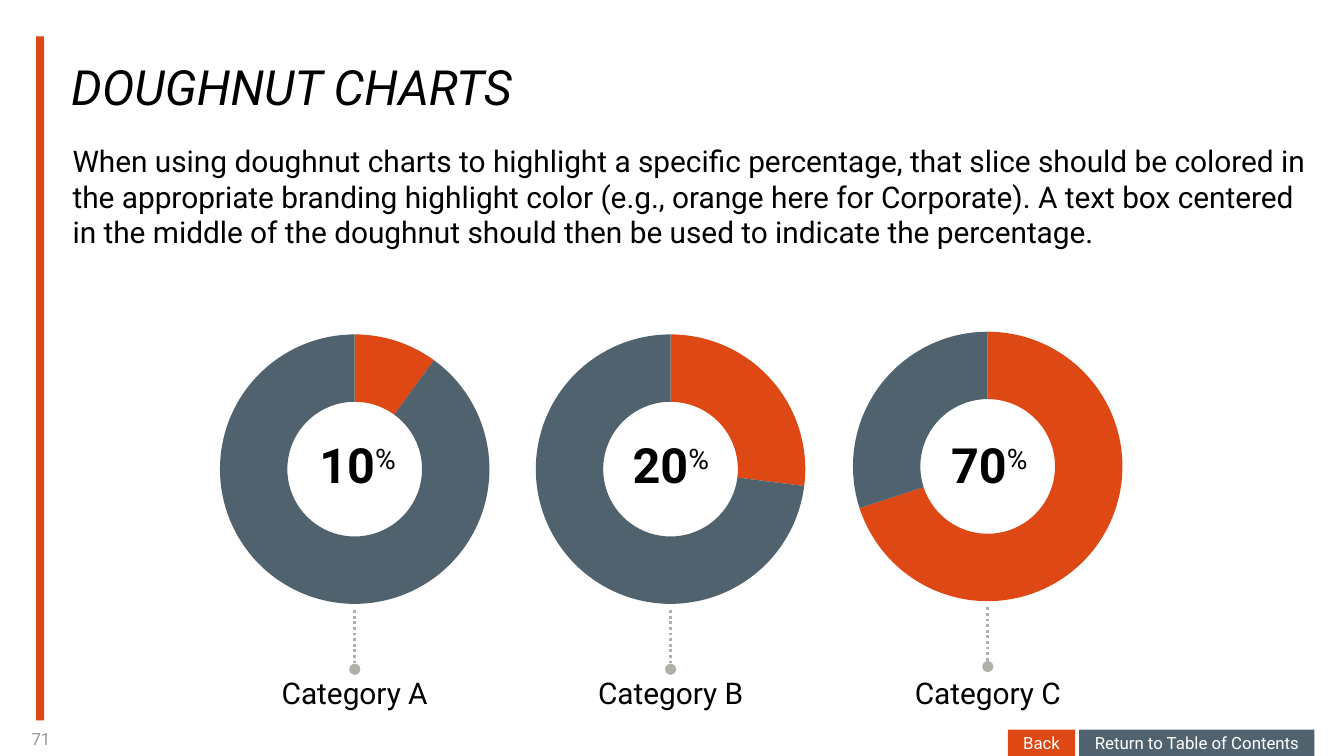
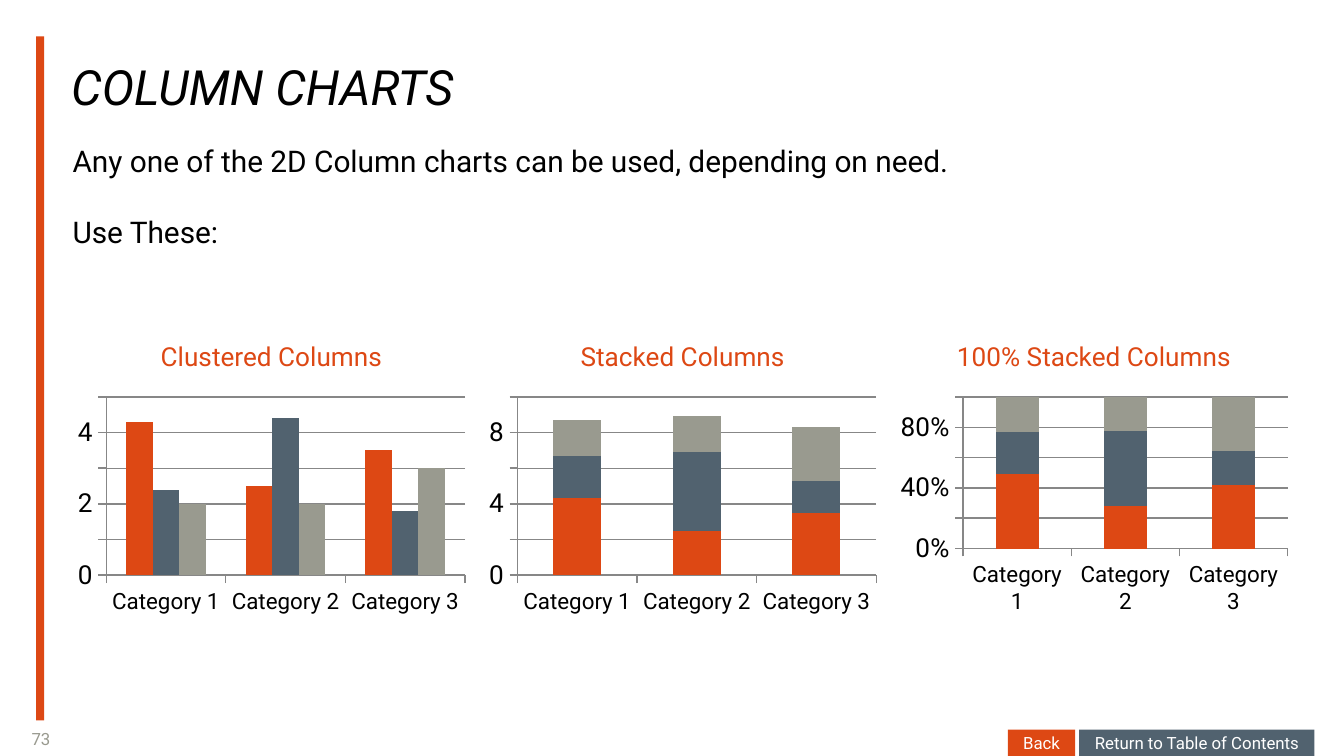
from lxml.etree import SubElement
from pptx import Presentation
from pptx.chart.data import CategoryChartData
from pptx.dml.color import RGBColor
from pptx.enum.chart import XL_CHART_TYPE as ChartType, XL_TICK_MARK as TickMark
from pptx.enum.dml import MSO_LINE
from pptx.enum.shapes import MSO_CONNECTOR, MSO_SHAPE
from pptx.enum.text import MSO_ANCHOR as Anchor, MSO_AUTO_SIZE as AutoSize, PP_ALIGN as Align
from pptx.oxml.ns import qn
from pptx.util import Inches, Pt

ORANGE = RGBColor(0xDD, 0x48, 0x14)
SLATE = RGBColor(0x51, 0x62, 0x6F)
GRAY = RGBColor(0x99, 0x9A, 0x8F)
LIGHT_GRAY = RGBColor(0xAE, 0xB1, 0xA7)
AXIS_GRAY = RGBColor(0x87, 0x87, 0x87)
BLACK = RGBColor(0, 0, 0)
WHITE = RGBColor(0xFF, 0xFF, 0xFF)
FONT = "Roboto"
NO_INSETS = (0, 0)
BOX_INSETS = (0.1, 0.05)
BUTTON_INSETS = (0.07, 0.04)


def inches(*lengths):
    return [Inches(length) for length in lengths]


def add_run(paragraph, text, size, color, bold=False, italic=False):
    run = paragraph.add_run()
    run.text = text
    font = run.font
    font.name, font.size, font.bold, font.italic = FONT, Pt(size), bold, italic
    font.color.rgb = color
    return run


def set_frame(shape, insets, anchor):
    frame = shape.text_frame
    frame.word_wrap = True
    frame.vertical_anchor = anchor
    frame.margin_left = frame.margin_right = Inches(insets[0])
    frame.margin_top = frame.margin_bottom = Inches(insets[1])
    return frame


def add_text(slide, box, text, size, color=BLACK, align=Align.LEFT, anchor=Anchor.TOP,
             insets=NO_INSETS, bold=False, italic=False):
    frame = set_frame(slide.shapes.add_textbox(*inches(*box)), insets, anchor)
    paragraph = frame.paragraphs[0]
    paragraph.alignment = align
    add_run(paragraph, text, size, color, bold, italic)
    return frame


def add_rectangle(slide, box, color):
    shape = slide.shapes.add_shape(MSO_SHAPE.RECTANGLE, *inches(*box))
    shape.shadow.inherit = False
    shape.fill.solid()
    shape.fill.fore_color.rgb = color
    shape.line.fill.background()
    return shape


def add_button(slide, box, label, color):
    frame = set_frame(add_rectangle(slide, box, color), BUTTON_INSETS, Anchor.MIDDLE)
    paragraph = frame.paragraphs[0]
    paragraph.alignment = Align.CENTER
    add_run(paragraph, label, 9, WHITE)


def add_page(presentation, number, title, body):
    slide = presentation.slides.add_slide(presentation.slide_layouts[6])
    add_text(slide, (0, 5.37, 0.61, 0.26), number, 9, GRAY, Align.CENTER, Anchor.MIDDLE)
    add_rectangle(slide, (0.27, 0.27, 0.06, 5.09), ORANGE)
    add_text(slide, (0.53, 0.26, 8.4, 0.6), title, 26, anchor=Anchor.BOTTOM, italic=True)
    frame = add_text(slide, (0.54, 1.06, 9.21, 4.3), body[0], 16)
    for text in body[1:]:
        paragraph = frame.add_paragraph()
        paragraph.space_before = Pt(19)
        add_run(paragraph, text, 16, BLACK)
    add_button(slide, (8.03, 5.43, 1.75, 0.2), "Return to Table of Contents", SLATE)
    add_button(slide, (7.5, 5.43, 0.5, 0.2), "Back", ORANGE)
    return slide


def add_chart(slide, box, kind, categories, series, font_name, font_size):
    data = CategoryChartData()
    data.categories = categories
    for index, values in enumerate(series, 1):
        data.add_series(f"Series {index}", values)
    chart = slide.shapes.add_chart(kind, *inches(*box), data).chart
    chart.has_title = False
    chart.has_legend = False
    chart.font.name, chart.font.size = font_name, Pt(font_size)
    chart.font.color.rgb = BLACK
    return chart


def set_plot_layout(chart, x, y, w, h):
    plot_area = chart.element.find(".//" + qn("c:plotArea"))
    layout = plot_area.find(qn("c:layout"))
    if layout is None:
        layout = SubElement(plot_area, qn("c:layout"))
        plot_area.insert(0, layout)
    manual = SubElement(layout, qn("c:manualLayout"))
    settings = {"layoutTarget": "inner", "xMode": "edge", "yMode": "edge",
                "x": x, "y": y, "w": w, "h": h}
    for name, value in settings.items():
        SubElement(manual, qn(f"c:{name}")).set("val", str(value))


def add_dotted_line(slide, x, top, bottom):
    line = slide.shapes.add_connector(MSO_CONNECTOR.STRAIGHT, *inches(x, top, x, bottom))
    line.line.color.rgb = LIGHT_GRAY
    line.line.width = Pt(1.5)
    line.line.dash_style = MSO_LINE.ROUND_DOT
    properties = line.element.spPr
    SubElement(properties.find(qn("a:ln")), qn("a:tailEnd")).set("type", "oval")
    SubElement(properties, qn("a:effectLst"))


def add_doughnut(slide, left, top, share, percentage, percentage_left, category, label_width):
    chart = add_chart(slide, (left, top, 2.28, 2.36), ChartType.DOUGHNUT, ["1", "2"],
                      [(share, 100 - share)], "Calibri", 18)
    set_plot_layout(chart, 0.06, 0.08, 0.88, 0.85)
    plot = chart.plots[0]
    plot.vary_by_categories = True
    chart.element.find(".//" + qn("c:holeSize")).set("val", "82")
    for index, color in enumerate((ORANGE, SLATE)):
        point = plot.series[0].points[index].format
        point.fill.solid()
        point.fill.fore_color.rgb = color
        point.line.fill.background()

    center = left + 1.14
    frame = add_text(slide, (percentage_left, 3.31, 1.08, 0.43), percentage, 26,
                     align=Align.CENTER, insets=BOX_INSETS, bold=True)
    frame.auto_size = AutoSize.SHAPE_TO_FIT_TEXT
    paragraph = frame.paragraphs[0]
    paragraph.line_spacing = 0.7
    sign = add_run(paragraph, "%", 26, BLACK)
    sign.font._element.set("baseline", "30000")

    label = add_text(slide, (center - label_width / 2, 4.97, label_width, 0.37), category, 16,
                     align=Align.CENTER, insets=BOX_INSETS)
    label.auto_size = AutoSize.SHAPE_TO_FIT_TEXT
    add_dotted_line(slide, center, top + 2.24, top + 2.68)


def add_columns(slide, left, top, title, kind, series, maximum, number_format):
    add_text(slide, (left + 0.2, top, 2.6, 0.4), title, 14, ORANGE, Align.CENTER)
    categories = [f"Category {number}" for number in range(1, 4)]
    chart = add_chart(slide, (left, top + 0.39, 3, 1.69), kind, categories, series, FONT, 14)
    plot = chart.plots[0]
    plot.vary_by_categories = False
    plot.gap_width = 150
    plot.overlap = 0 if kind == ChartType.COLUMN_CLUSTERED else 100
    for column, color in zip(plot.series, (ORANGE, SLATE, GRAY)):
        column.invert_if_negative = False
        column.format.fill.solid()
        column.format.fill.fore_color.rgb = color

    category_axis, value_axis = chart.category_axis, chart.value_axis
    category_axis.tick_labels.font.size = Pt(12)
    value_axis.minimum_scale, value_axis.maximum_scale = 0, maximum
    value_axis.major_unit = maximum / 5
    value_axis.has_major_gridlines = True
    value_axis.tick_labels.number_format = number_format
    value_axis.tick_labels.number_format_is_linked = False
    for axis in (category_axis, value_axis):
        axis.major_tick_mark = TickMark.OUTSIDE
        axis.format.line.color.rgb = AXIS_GRAY
    value_axis.major_gridlines.format.line.color.rgb = AXIS_GRAY


def build_doughnut_slide(presentation):
    slide = add_page(presentation, "71", "DOUGHNUT CHARTS", [
        "When using doughnut charts to highlight a specific percentage, that slice should be "
        "colored in the appropriate branding highlight color (e.g., orange here for Corporate). "
        "A text box centered in the middle of the doughnut should then be used to indicate "
        "the percentage."])
    add_doughnut(slide, 1.5, 2.3, 10, "10", 2.12, "Category A", 2.2)
    add_doughnut(slide, 3.85, 2.3, 27, "20", 4.45, "Category B", 1.41)
    add_doughnut(slide, 6.21, 2.28, 70, "70", 6.82, "Category C", 1.67)


def build_column_slide(presentation):
    slide = add_page(presentation, "73", "COLUMN CHARTS", [
        "Any one of the 2D Column charts can be used, depending on need.", "Use These:"])
    amounts = [(4.3, 2.5, 3.5), (2.4, 4.4, 1.8), (2, 2, 3)]
    shares = [(49, 28, 42), (28, 49, 22), (23, 22, 36)]
    charts = [
        ("Clustered Columns", ChartType.COLUMN_CLUSTERED, amounts, 5, "General"),
        ("Stacked Columns", ChartType.COLUMN_STACKED, amounts, 10, "General"),
        ("100% Stacked Columns", ChartType.COLUMN_STACKED_100, shares, 1, "0%"),
    ]
    for index, chart in enumerate(charts):
        add_columns(slide, 0.52 + 3.06 * index, 2.53, *chart)


def main():
    presentation = Presentation()
    presentation.slide_width = Inches(10)
    presentation.slide_height = Inches(10) * 9 // 16
    build_doughnut_slide(presentation)
    build_column_slide(presentation)
    presentation.save("out.pptx")


if __name__ == "__main__":
    main()
